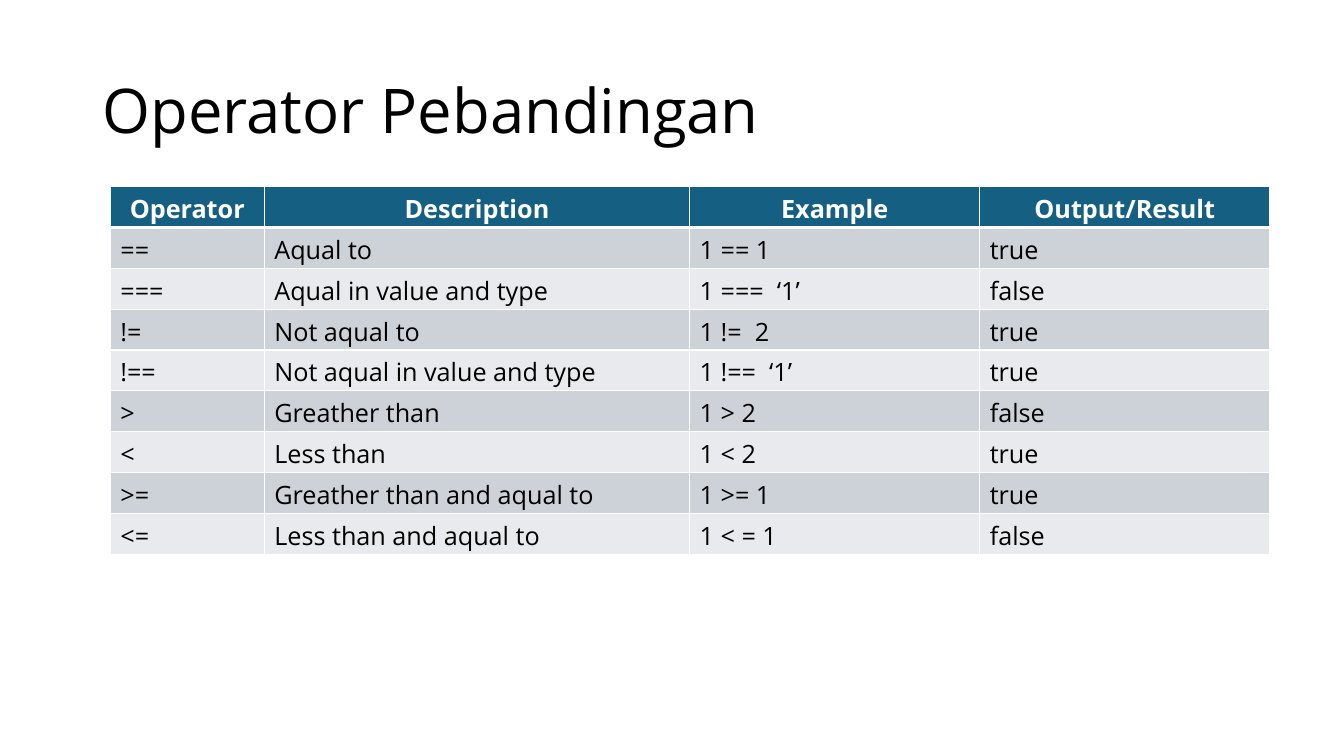
from lxml.etree import SubElement
from pptx import Presentation
from pptx.dml.color import RGBColor
from pptx.enum.text import MSO_VERTICAL_ANCHOR as Anchor, PP_PARAGRAPH_ALIGNMENT as Align
from pptx.oxml.ns import qn
from pptx.util import Cm, Pt

FONT = "Open Sans"
WHITE, BLACK, HEADER = "FFFFFF", "000000", "156082"
BANDS = ("E8EAED", "CCD2D8")
COLUMN_WIDTHS = (3.88, 10.72, 7.31, 7.31)
ROW_HEIGHT = 1.03
ROWS = (
    ("Operator", "Description", "Example", "Output/Result"),
    ("==", "Aqual to", "1 == 1", "true"),
    ("===", "Aqual in value and type", "1 ===  ‘1’", "false"),
    ("!=", "Not aqual to", "1 !=  2", "true"),
    ("!==", "Not aqual in value and type", "1 !==  ‘1’", "true"),
    (">", "Greather than", "1 > 2", "false"),
    ("<", "Less than", "1 < 2", "true"),
    (">=", "Greather than and aqual to", "1 >= 1", "true"),
    ("<=", "Less than and aqual to", "1 < = 1", "false"),
)


def color(value):
    return RGBColor.from_string(value)


def add_span(para, text, size, ink, bold=False):
    span = para.add_run()
    span.text = text
    span.font.name = FONT
    span.font.size = Pt(size)
    span.font.bold = bold
    span.font.color.rgb = color(ink)


def add_title(page, text):
    box = page.shapes.add_textbox(Cm(2.33), Cm(1.01), Cm(29.21), Cm(3.68))
    box.text_frame.word_wrap = True
    box.text_frame.vertical_anchor = Anchor.MIDDLE
    para = box.text_frame.paragraphs[0]
    para.line_spacing = 0.9
    add_span(para, text, 44, BLACK)


def add_border(cell, side, width):
    properties = cell._tc.get_or_add_tcPr()
    line = SubElement(properties, qn(f"a:ln{side}"), w=str(Pt(width)))
    SubElement(SubElement(line, qn("a:solidFill")), qn("a:srgbClr"), val=WHITE)


def fill_cell(cell, text, row):
    is_header = row == 0
    widths = {"L": 1, "R": 1, "T": 3 if row == 1 else 1, "B": 3 if is_header else 1}
    for side, width in widths.items():
        add_border(cell, side, width)
    cell.fill.solid()
    cell.fill.fore_color.rgb = color(HEADER if is_header else BANDS[row % 2])
    para = cell.text_frame.paragraphs[0]
    para.alignment = Align.CENTER if is_header else Align.LEFT
    add_span(para, text, 18, WHITE if is_header else BLACK, is_header)


def add_operator_table(page):
    table = page.shapes.add_table(
        len(ROWS), len(COLUMN_WIDTHS), Cm(2.78), Cm(4.7),
        Cm(sum(COLUMN_WIDTHS)), Cm(ROW_HEIGHT * len(ROWS)),
    ).table
    for column, width in zip(table.columns, COLUMN_WIDTHS):
        column.width = Cm(width)
    for row, texts in enumerate(ROWS):
        table.rows[row].height = Cm(ROW_HEIGHT)
        for column, text in enumerate(texts):
            fill_cell(table.cell(row, column), text, row)


def main():
    deck = Presentation()
    deck.slide_width, deck.slide_height = Cm(33.87), Cm(19.05)
    page = deck.slides.add_slide(deck.slide_layouts[6])
    add_title(page, "Operator Pebandingan")
    add_operator_table(page)
    deck.save("out.pptx")


if __name__ == "__main__":
    main()
